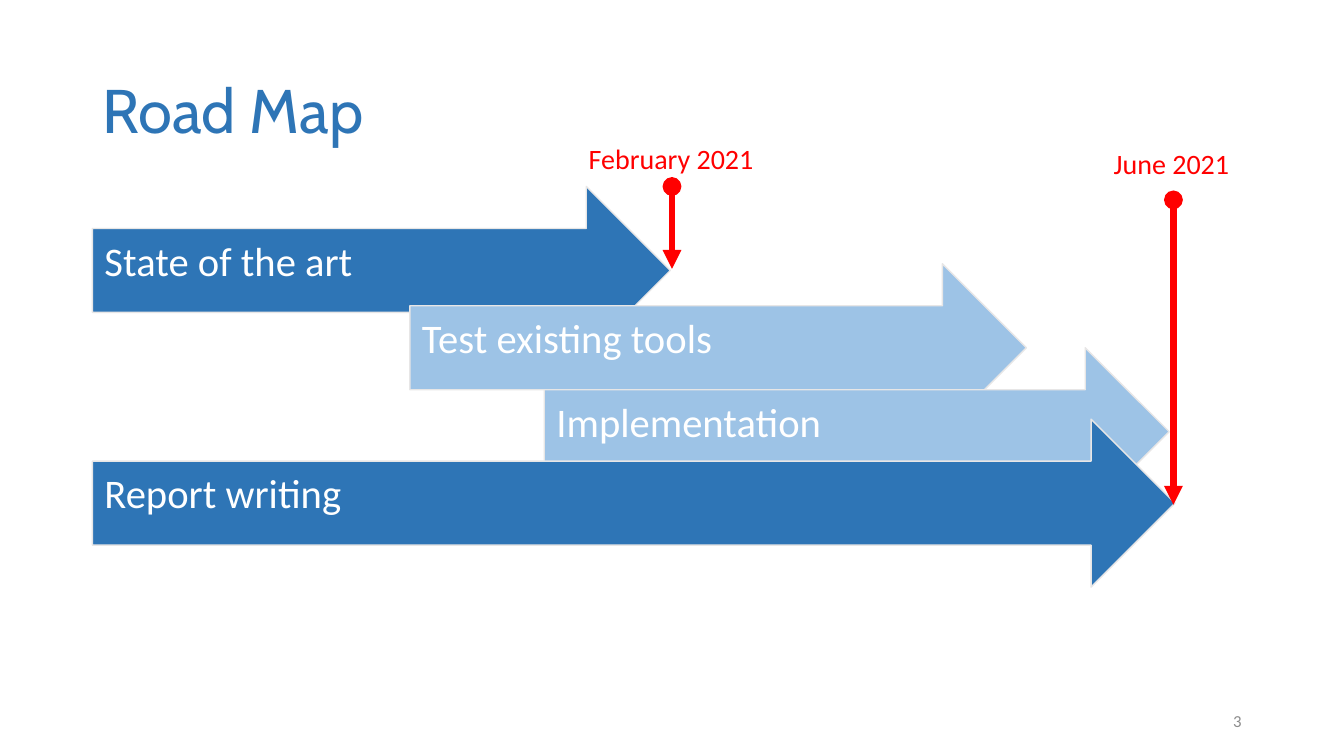
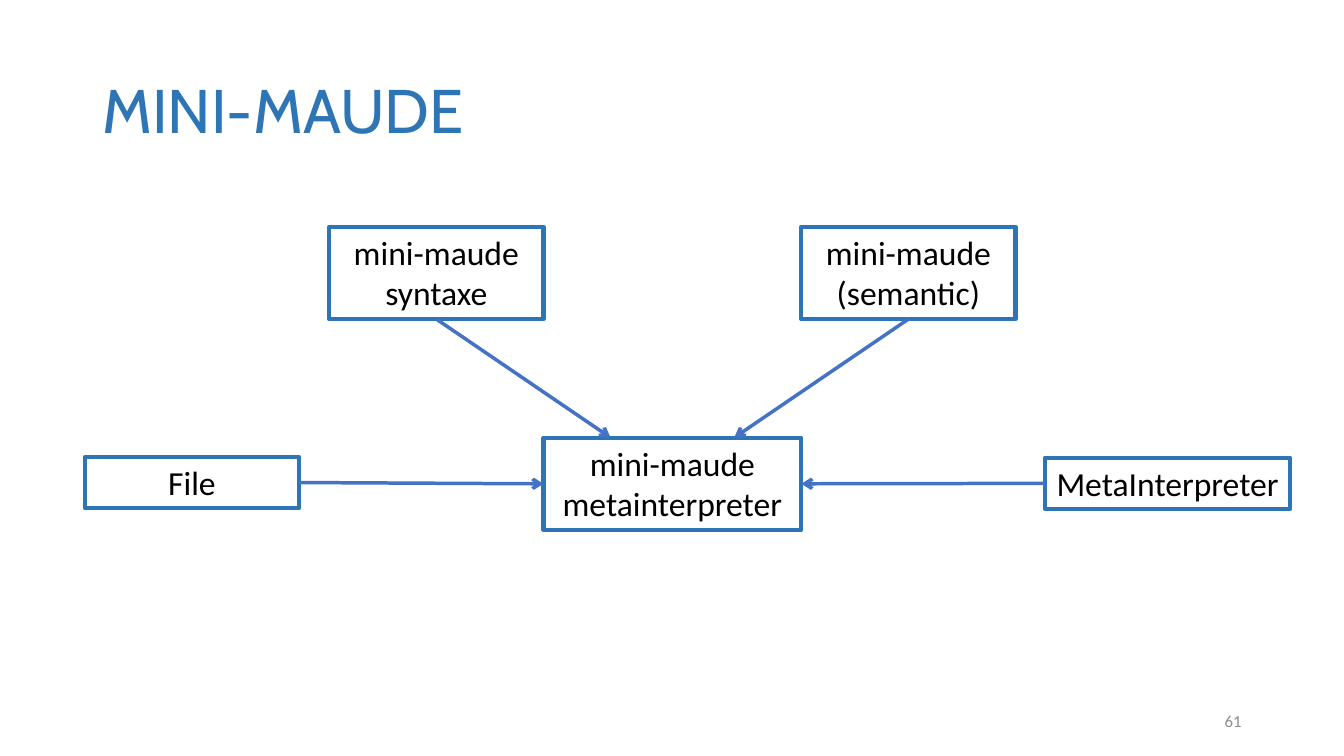
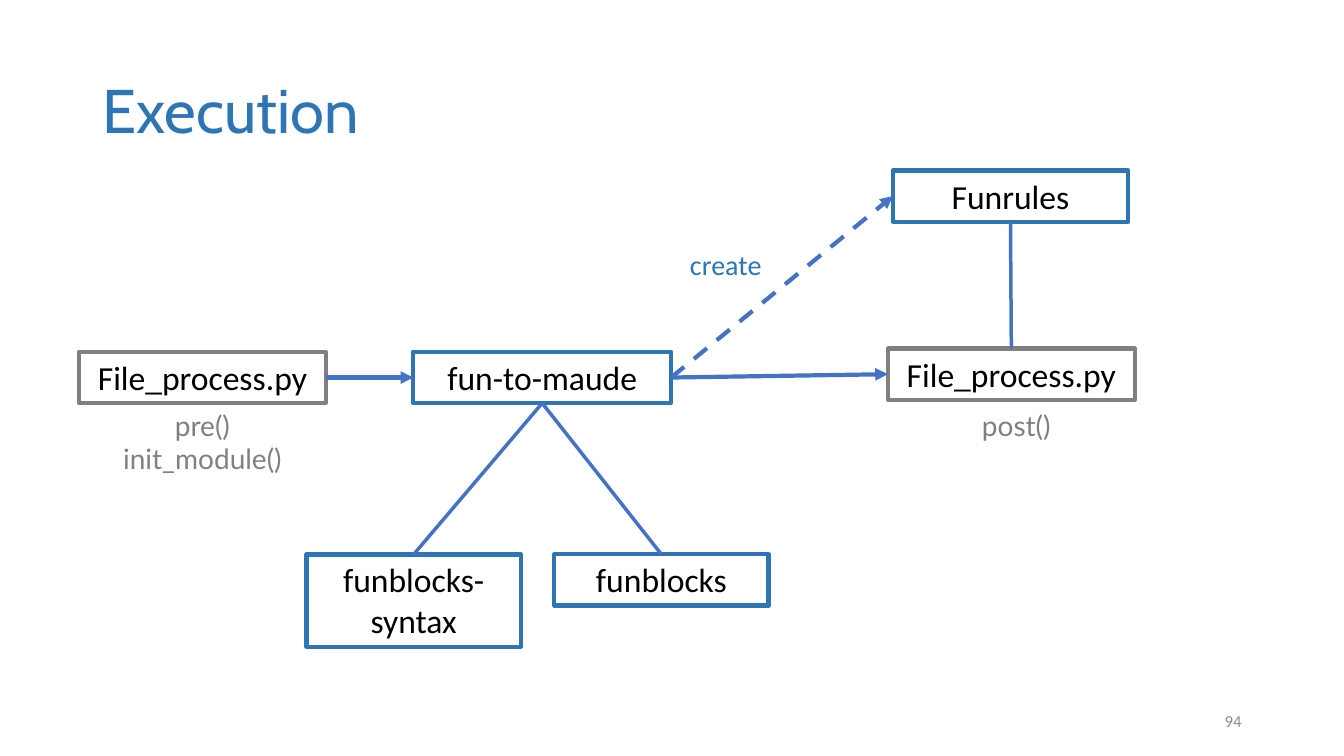
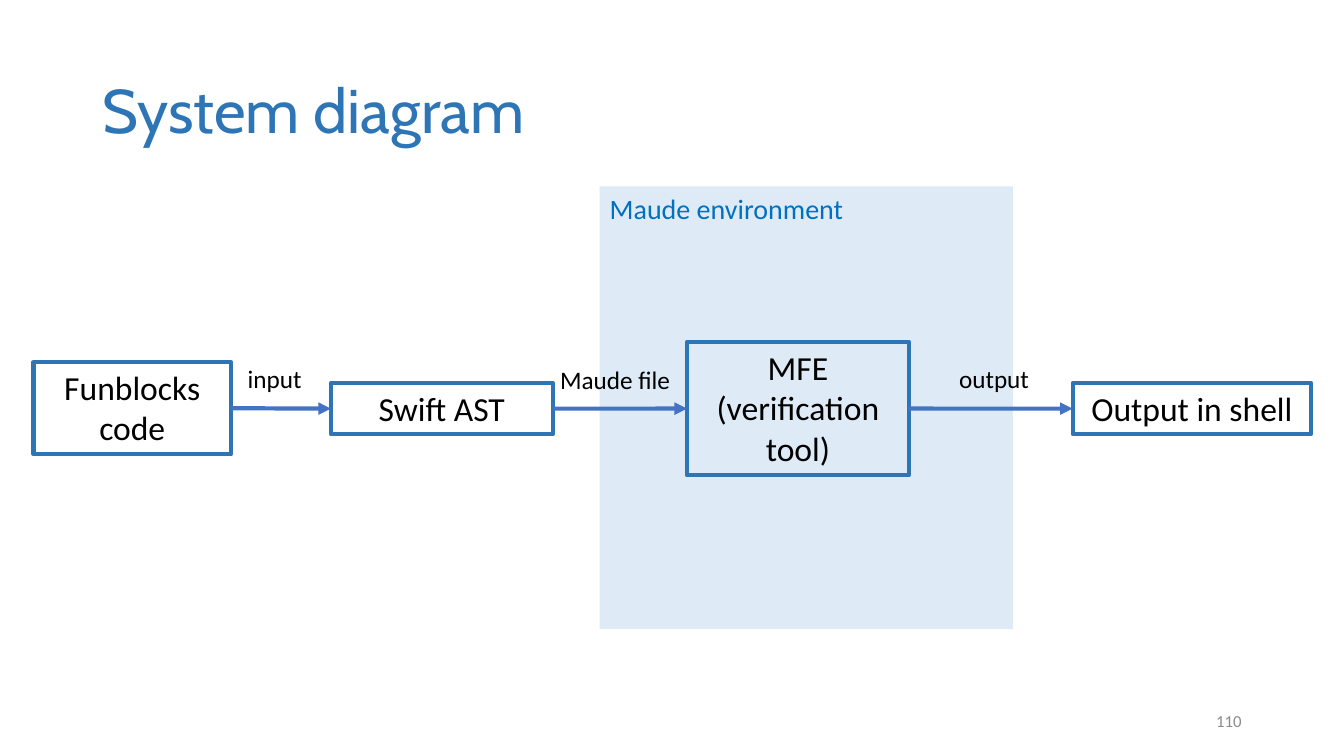
from dataclasses import dataclass

import lxml.etree
import pptx
import pptx.dml.color
import pptx.enum.dml
import pptx.enum.shapes
import pptx.enum.text
import pptx.oxml.ns
import pptx.presentation
import pptx.shapes.autoshape
import pptx.shapes.connector
import pptx.slide
import pptx.text.text
import pptx.util

RGBColor = pptx.dml.color.RGBColor
Pt = pptx.util.Pt
Align = pptx.enum.text.PP_ALIGN
Anchor = pptx.enum.text.MSO_ANCHOR
Preset = pptx.enum.shapes.MSO_SHAPE

# Colours
BLUE = RGBColor(0x2E, 0x75, 0xB6)
LIGHT_BLUE = RGBColor(0x9D, 0xC3, 0xE6)
PALE_BLUE = RGBColor(0xDE, 0xEB, 0xF7)
WIRE_BLUE = RGBColor(0x44, 0x72, 0xC4)
LABEL_BLUE = RGBColor(0x00, 0x70, 0xC0)
RED = RGBColor(0xFF, 0x00, 0x00)
GREY = RGBColor(0x80, 0x80, 0x80)
NUMBER_GREY = RGBColor(0x8C, 0x8C, 0x8C)
EDGE_GREY = RGBColor(0xE7, 0xE6, 0xE6)
WHITE = RGBColor(0xFF, 0xFF, 0xFF)
BLACK = RGBColor(0x00, 0x00, 0x00)

# Grid: 160 columns by 90 rows of square cells, twelve to the inch
COLUMNS, ROWS = 160, 90
CELL = pptx.util.Inches(1) / 12
TOP, LEFT, BOTTOM, RIGHT = range(4)

Point = tuple[float, float]
Joint = tuple[str, int]


@dataclass(frozen=True)
class Box:
    text: str
    column: float
    row: float
    width: float
    lines: int = 1
    edge: RGBColor = BLUE


@dataclass(frozen=True)
class Label:
    text: str
    column: float
    row: float
    width: float
    size: int = 20
    color: RGBColor = BLACK
    align: Align = Align.LEFT
    font: str = "Calibri"


@dataclass(frozen=True)
class Wire:
    """A line from a box side to another box side, or to a free point."""
    start: Joint
    end: Joint | Point
    tail: str = ""
    weight: float = 3
    dashed: bool = False


@dataclass(frozen=True)
class Stage:
    text: str
    column: float
    row: float
    width: float
    color: RGBColor


@dataclass(frozen=True)
class Milestone:
    column: float
    top: float
    bottom: float
    label: Label


def cells(count: float) -> pptx.util.Emu:
    return pptx.util.Emu(round(count * CELL))


def area(column: float, row: float, width: float, height: float) -> list[pptx.util.Emu]:
    return [cells(value) for value in (column, row, width, height)]


def text_rows(size: float, lines: int) -> float:
    """Height in rows of a frame that fits its lines of text."""
    return 1.2 + 0.2 * 1.02 * size * lines


def write(frame: pptx.text.text.TextFrame, text: str, size: float, color: RGBColor,
          align: Align = Align.LEFT, anchor: Anchor = Anchor.TOP,
          font: str = "Calibri", spacing: float = 1.0) -> None:
    frame.text = text
    frame.word_wrap = True
    frame.vertical_anchor = anchor
    for para in frame.paragraphs:
        para.alignment = align
        para.line_spacing = spacing
        para.font.name = font
        para.font.size = Pt(size)
        para.font.color.rgb = color


# Shared page parts
def add_page(deck: pptx.presentation.Presentation, title: str, number: int) -> pptx.slide.Slide:
    page = deck.slides.add_slide(deck.slide_layouts.get_by_name("Title Only"))
    heading = page.shapes.title
    heading.left, heading.top, heading.width, heading.height = area(11, 4.8, 138, 17.4)
    write(heading.text_frame, title, 44, BLUE, anchor=Anchor.MIDDLE, font="Cabin", spacing=0.9)
    footer = page.shapes.add_textbox(*area(113, 83.4, 36, 4.8))
    write(footer.text_frame, str(number), 12, NUMBER_GREY, Align.RIGHT, Anchor.MIDDLE)
    return page


def add_label(page: pptx.slide.Slide, label: Label) -> None:
    height = text_rows(label.size, label.text.count("\n") + 1)
    holder = page.shapes.add_textbox(*area(label.column, label.row, label.width, height))
    write(holder.text_frame, label.text, label.size, label.color, label.align, font=label.font)


def add_box(page: pptx.slide.Slide, box: Box) -> pptx.shapes.autoshape.Shape:
    shape = page.shapes.add_shape(
        Preset.RECTANGLE, *area(box.column, box.row, box.width, text_rows(24, box.lines)))
    shape.shadow.inherit = False
    shape.fill.background()
    shape.line.color.rgb = box.edge
    shape.line.width = Pt(3)
    write(shape.text_frame, box.text, 24, BLACK, Align.CENTER)
    return shape


def add_line(page: pptx.slide.Slide, start: Point, end: Point, color: RGBColor, weight: float,
             head: str = "", tail: str = "", dashed: bool = False) -> pptx.shapes.connector.Connector:
    line = page.shapes.add_connector(
        pptx.enum.shapes.MSO_CONNECTOR.STRAIGHT, *area(*start, *end))
    line.line.color.rgb = color
    line.line.width = Pt(weight)
    if dashed:
        line.line.dash_style = pptx.enum.dml.MSO_LINE.DASH
    properties = line._element.spPr
    outline = properties.find(pptx.oxml.ns.qn("a:ln"))
    for tag, kind in (("a:headEnd", head), ("a:tailEnd", tail)):
        if kind:
            lxml.etree.SubElement(outline, pptx.oxml.ns.qn(tag), type=kind)
    lxml.etree.SubElement(properties, pptx.oxml.ns.qn("a:effectLst"))
    return line


def add_diagram(page: pptx.slide.Slide, boxes: dict[str, Box], wires: list[Wire],
                labels: list[Label]) -> None:
    shapes = {name: add_box(page, box) for name, box in boxes.items()}
    for wire in wires:
        joined = isinstance(wire.end[0], str)
        line = add_line(page, (0, 0), (0, 0) if joined else wire.end, WIRE_BLUE,
                        wire.weight, tail=wire.tail, dashed=wire.dashed)
        line.begin_connect(shapes[wire.start[0]], wire.start[1])
        if joined:
            line.end_connect(shapes[wire.end[0]], wire.end[1])
    for label in labels:
        add_label(page, label)


# Road map
def add_stage(page: pptx.slide.Slide, stage: Stage) -> None:
    arrow = page.shapes.add_shape(
        Preset.RIGHT_ARROW, *area(stage.column, stage.row, stage.width, 20))
    arrow.shadow.inherit = False
    arrow.fill.solid()
    arrow.fill.fore_color.rgb = stage.color
    arrow.line.color.rgb = EDGE_GREY
    arrow.line.width = Pt(1)
    frame = arrow.text_frame
    write(frame, stage.text, 29, WHITE, anchor=Anchor.MIDDLE, spacing=0.9)
    frame.margin_left = frame.margin_top = pptx.util.Inches(0.12)
    frame.margin_right = pptx.util.Inches(0.28)
    frame.margin_bottom = pptx.util.Inches(0.27)


def build_road_map(deck: pptx.presentation.Presentation) -> None:
    page = add_page(deck, "Road Map", 3)
    for stage in (
        Stage("State of the art", 11, 22.2, 68.8, BLUE),
        Stage("Test existing tools", 48.8, 31.4, 73.4, LIGHT_BLUE),
        Stage("Implementation", 64.8, 41.4, 74.4, LIGHT_BLUE),
        Stage("Report writing", 11, 49.9, 128.9, BLUE),
    ):
        add_stage(page, stage)
    for milestone in (
        Milestone(80, 22.2, 32, Label("February 2021", 68.9, 16.3, 22.3, color=RED)),
        Milestone(139.7, 23.8, 60.1, Label("June 2021", 131.4, 16.9, 16.7, color=RED)),
    ):
        add_line(page, (milestone.column, milestone.top), (milestone.column, milestone.bottom),
                 RED, 4.5, head="oval", tail="triangle")
        add_label(page, milestone.label)


# Interpreter diagram
def build_mini_maude(deck: pptx.presentation.Presentation) -> None:
    page = add_page(deck, "MINI-MAUDE", 61)
    core = Box("mini-maude\nmetainterpreter", 64.7, 52.1, 30.7, 2)
    boxes = {
        "syntax": Box("mini-maude\nsyntaxe", 39.2, 27, 25.5, 2),
        "semantic": Box("mini-maude\n(semantic)", 95.4, 27, 25.5, 2),
        "core": core,
        "file": Box("File", 10.1, 54.4, 25.5),
        "meta": Box("MetaInterpreter", 124.4, 54.5, 29.2),
    }
    wires = [
        Wire(("syntax", BOTTOM), (core.column + 0.26 * core.width, core.row), "arrow", 2.5),
        Wire(("semantic", BOTTOM), (core.column + 0.74 * core.width, core.row), "arrow", 2.5),
        Wire(("file", RIGHT), ("core", LEFT), "arrow", 2.5),
        Wire(("meta", LEFT), ("core", RIGHT), "arrow", 2.5),
    ]
    add_diagram(page, boxes, wires, [])


# Execution diagram
def build_execution(deck: pptx.presentation.Presentation) -> None:
    page = add_page(deck, "Execution", 94)
    boxes = {
        "before": Box("File_process.py", 9.4, 41.9, 29.4, edge=GREY),
        "rules": Box("Funrules", 106.3, 20.3, 28),
        "syntax": Box("funblocks-syntax", 36.5, 66, 25.5, 2),
        "blocks": Box("funblocks", 66, 66, 25.5),
        "translator": Box("fun-to-maude", 49.2, 41.9, 30.7),
        "after": Box("File_process.py", 105.7, 41.5, 29.4, edge=GREY),
    }
    wires = [
        Wire(("before", RIGHT), ("translator", LEFT), "triangle"),
        Wire(("translator", RIGHT), ("rules", LEFT), "triangle", dashed=True),
        Wire(("translator", RIGHT), ("after", LEFT), "triangle"),
        Wire(("syntax", TOP), ("translator", BOTTOM), weight=2.5),
        Wire(("blocks", TOP), ("translator", BOTTOM), weight=2.5),
        Wire(("rules", BOTTOM), ("after", TOP), weight=2.5),
    ]
    labels = [
        Label("pre()\ninit_module()", 9.4, 48, 29.4, 20, GREY, Align.CENTER, "Lato"),
        Label("post()", 106.3, 48, 29.4, 20, GREY, Align.CENTER, "Lato"),
        Label("create", 80, 28.9, 12.8, 20, BLUE, Align.CENTER),
    ]
    add_diagram(page, boxes, wires, labels)


# System diagram
def build_system(deck: pptx.presentation.Presentation) -> None:
    page = add_page(deck, "System diagram", 110)
    environment = page.shapes.add_shape(Preset.RECTANGLE, *area(71.4, 22.2, 49.2, 52.7))
    environment.shadow.inherit = False
    environment.fill.solid()
    environment.fill.fore_color.rgb = PALE_BLUE
    environment.line.fill.background()
    boxes = {
        "code": Box("Funblocks\ncode", 4, 43.1, 23.5, 2),
        "tree": Box("Swift AST", 39.4, 45.6, 26.4),
        "tool": Box("MFE (verification tool)", 81.8, 40.7, 26.4, 3),
        "shell": Box("Output in shell", 127.7, 45.6, 28.4),
    }
    names = list(boxes)
    wires = [Wire((left, RIGHT), (right, LEFT), "triangle")
             for left, right in zip(names, names[1:])]
    labels = [
        Label("Maude environment", 71.4, 22.2, 31.7, color=LABEL_BLUE),
        Label("input", 28.3, 42.6, 10.3, 18),
        Label("Maude file", 65.5, 42.8, 16.6, 18),
        Label("output", 113, 42.7, 11.9, 18),
    ]
    add_diagram(page, boxes, wires, labels)


def main() -> None:
    deck = pptx.Presentation()
    deck.slide_width, deck.slide_height = cells(COLUMNS), cells(ROWS)
    for build in (build_road_map, build_mini_maude, build_execution, build_system):
        build(deck)
    deck.save("out.pptx")


if __name__ == "__main__":
    main()
